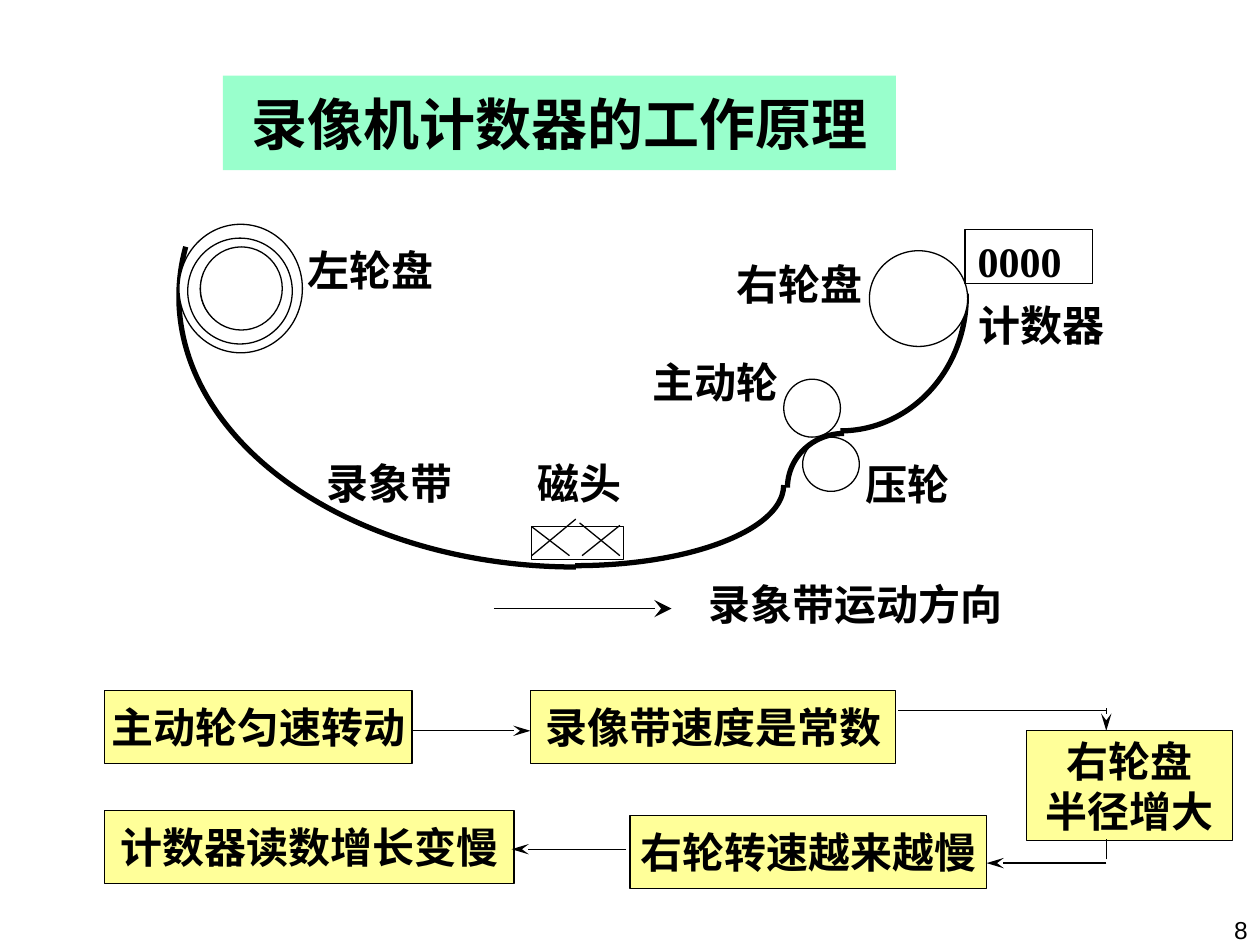
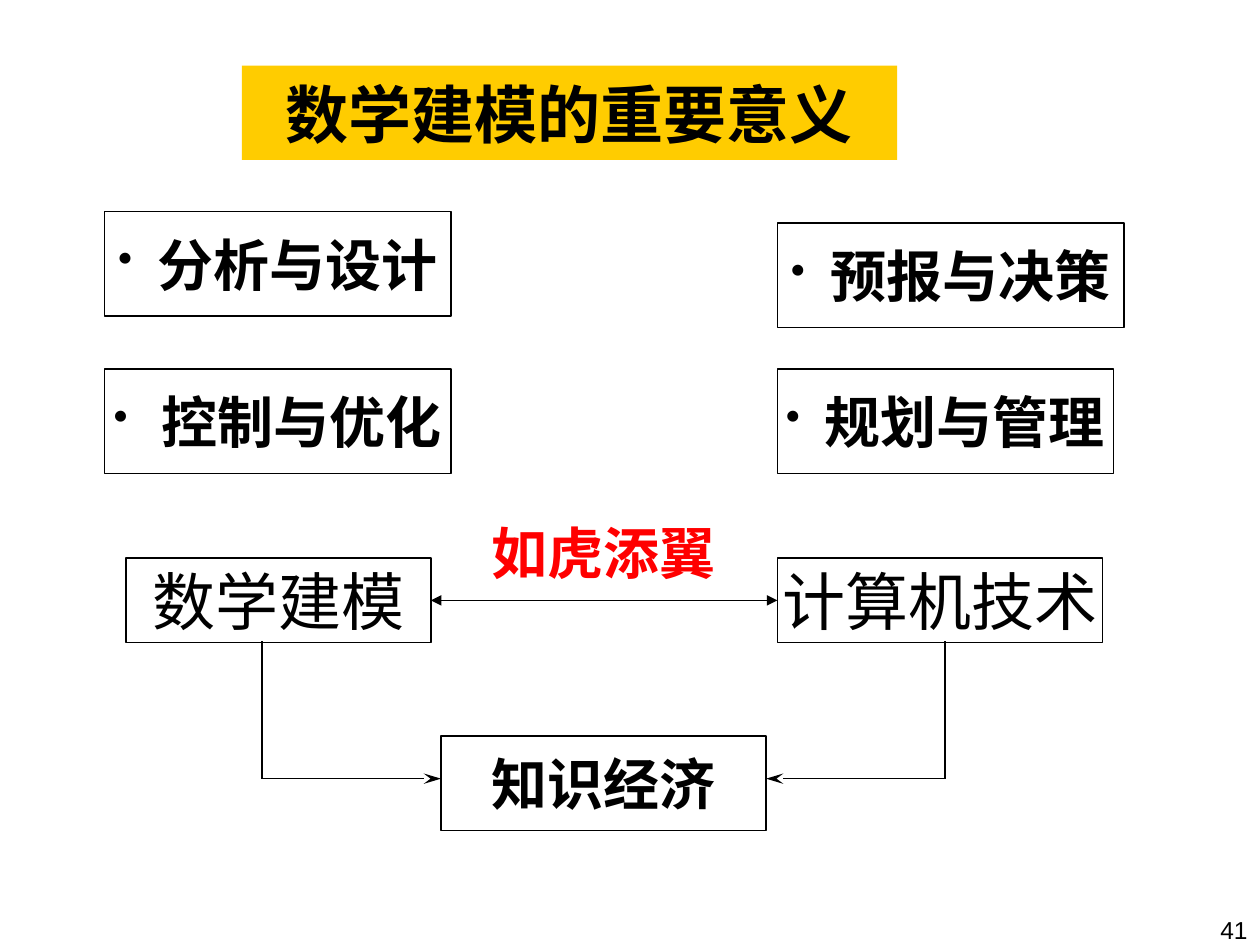
from lxml.etree import SubElement
from pptx import Presentation
from pptx.dml.color import RGBColor
from pptx.enum.shapes import MSO_CONNECTOR as CONNECTOR, MSO_SHAPE as SHAPE
from pptx.enum.text import MSO_ANCHOR as ANCHOR, PP_ALIGN as ALIGN
from pptx.oxml.ns import qn
from pptx.util import Emu, Pt

PX = 9144  # EMU per px, 100 px to the inch
WIDTH, HEIGHT = 1000, 750
BLACK, WHITE, RED = "000000", "FFFFFF", "FF0000"
MINT, GOLD, PALE_YELLOW = "99FFCC", "FFCC00", "FFFF99"
SERIF, CJK, SANS = "Times New Roman", "Noto Sans CJK SC", "Arial"
THIN, THICK = 0.75, 3
ARC_UNIT = 0.6  # adjustment value of one degree

# Arrowheads: type, width, length
TRIANGLE = ("triangle", "med", "med")
STEALTH = ("stealth", "med", "lg")
WIDE_STEALTH = ("stealth", "lg", "lg")

# Slide 1: places are left, top, width, height; lines are x1, y1, x2, y2
COUNTER_TITLE = ("录像机计数器的工作原理", (177, 60, 534, 75))
ROLLERS = [(637, 347, 45, 43), (622, 301, 45, 46)]
REELS = [(142, 178, 98, 102), (149, 189, 83, 84), (159, 199, 60, 61),
         (159, 196, 65, 66), (690, 199, 78, 76)]
TAPE = [  # whole ellipse, start and end angle of the arc
    ((142, 21, 630, 429), 90, 187.3),
    ((291, 321, 331, 128), 0, 90),
    ((567, 128, 200, 214), 358.9, 90),
    ((625, 344, 90, 86), 180, 270),
]
COUNTER = ("0000", (766, 182, 101, 43))
HEAD = (422, 418, 73, 26)
HEAD_LINES = [(422, 441, 457, 412), (462, 441, 492, 417),
              (422, 418, 452, 441), (460, 415, 492, 441)]
LABELS = [
    ("主动轮", (508, 278, 139, 51)),
    ("压轮", (677, 359, 90, 45)),
    ("左轮盘", (234, 189, 124, 66)),
    ("右轮盘", (575, 200, 126, 46)),
    ("磁头", (417, 358, 100, 42)),
    ("计数器", (767, 233, 135, 50)),
    ("录象带", (249, 358, 126, 44)),
]
DIRECTION = ("录象带运动方向", (558, 450, 242, 58))
DIRECTION_ARROW = (392, 483, 533, 483)
STEPS = [
    ("主动轮匀速转动", (83, 548, 244, 58)),
    ("录像带速度是常数", (421, 548, 290, 58)),
    ("右轮盘\n半径增大", (815, 580, 163, 87)),
    ("右轮转速越来越慢", (500, 647, 283, 58)),
    ("计数器读数增长变慢", (83, 643, 325, 58)),
]
STEP_LINES = [(713, 564, 878, 564), (878, 682, 878, 666)]
STEP_ARROWS = [(327, 580, 421, 580), (878, 562, 878, 580),
               (878, 685, 783, 685), (497, 674, 406, 674)]

# Slide 2
MEANING_TITLE = ("数学建模的重要意义", (192, 52, 520, 75))
USES = [  # text, place, gap from bullet to text
    ("分析与设计", (83, 168, 275, 83), 31),
    ("预报与决策", (617, 177, 275, 83), 31),
    ("控制与优化", (83, 293, 275, 83), 38),
    ("规划与管理", (617, 293, 267, 83), 31),
]
MODELLING = ("数学建模", (100, 443, 242, 67))
COMPUTING = ("计算机技术", (617, 443, 258, 67))
ECONOMY = ("知识经济", (350, 584, 258, 75))
MOTTO = ("如虎添翼", (383, 409, 192, 58))
ELBOWS = [(208, 350), (750, 608)]  # x of the drop, x of the arrow tip
DROP_TOP, DROP_BOTTOM = 509, 618

PAGE_NUMBER = (941, 721, 59, 28)


def color(hex_string):
    return RGBColor.from_string(hex_string)


def emu(lengths):
    return [Emu(length * PX) for length in lengths]


def write(shape, text, size=24, ink=BLACK, bold=True, font=SERIF,
          align=ALIGN.CENTER, anchor=ANCHOR.MIDDLE, wrap=False):
    frame = shape.text_frame
    frame.text = text
    frame.word_wrap = wrap
    frame.vertical_anchor = anchor
    for paragraph in frame.paragraphs:
        paragraph.alignment = align
        for run in paragraph.runs:
            run.font.size = Pt(size)
            run.font.bold = bold
            run.font.name = font
            run.font.color.rgb = color(ink)
            SubElement(run.font._element, qn("a:ea"), typeface=CJK)


def add_text(slide, text, place, **style):
    write(slide.shapes.add_textbox(*emu(place)), text, **style)


def add_box(slide, place, fill=None, line=BLACK, kind=SHAPE.RECTANGLE,
            weight=THIN, text=None, **style):
    shape = slide.shapes.add_shape(kind, *emu(place))
    shape.shadow.inherit = False
    if fill:
        shape.fill.solid()
        shape.fill.fore_color.rgb = color(fill)
    else:
        shape.fill.background()
    if line:
        shape.line.color.rgb = color(line)
        shape.line.width = Pt(weight)
    else:
        shape.line.fill.background()
    if text:
        write(shape, text, **style)
    return shape


def add_line(slide, ends, head=None, tail=None):
    line = slide.shapes.add_connector(CONNECTOR.STRAIGHT, *emu(ends))
    line.line.color.rgb = color(BLACK)
    line.line.width = Pt(THIN)
    properties = line._element.spPr
    for tag, arrow in (("a:headEnd", head), ("a:tailEnd", tail)):
        if arrow:
            kind, width, length = arrow
            SubElement(properties.find(qn("a:ln")), qn(tag),
                       type=kind, w=width, len=length)
    SubElement(properties, qn("a:effectLst"))
    return line


def add_bullet(shape, gap):
    for paragraph in shape.text_frame.paragraphs:
        properties = paragraph._p.get_or_add_pPr()
        properties.set("marL", str(gap * PX))
        properties.set("indent", str(-gap * PX))
        bullet_color = SubElement(properties, qn("a:buClr"))
        SubElement(bullet_color, qn("a:srgbClr"), val=BLACK)
        SubElement(properties, qn("a:buSzPct"), val="75000")
        SubElement(properties, qn("a:buChar"), char="•")


def start_slide(presentation, title, band, number, **style):
    slide = presentation.slides.add_slide(presentation.slide_layouts[6])
    text, place = title
    add_box(slide, place, band, None, text=text, **style)
    add_text(slide, number, PAGE_NUMBER, size=14, bold=False, font=SANS,
             align=ALIGN.RIGHT, anchor=ANCHOR.TOP, wrap=True)
    return slide


def build_counter_slide(presentation):
    slide = start_slide(presentation, COUNTER_TITLE, MINT, "8", size=32)
    label_style = dict(align=ALIGN.LEFT, anchor=ANCHOR.TOP, wrap=True)

    # Tape path over the rollers, under the reels
    for place in ROLLERS:
        add_box(slide, place, WHITE, kind=SHAPE.OVAL)
    for place, start, end in TAPE:
        arc = add_box(slide, place, kind=SHAPE.ARC, weight=THICK)
        arc.adjustments[0] = start * ARC_UNIT * 100000 / 100000
        arc.adjustments[1] = end * ARC_UNIT
    for place in REELS:
        add_box(slide, place, WHITE, kind=SHAPE.OVAL)

    # Counter window and magnetic head
    text, place = COUNTER
    add_box(slide, place, WHITE, text=text, **label_style)
    add_box(slide, HEAD, WHITE)
    for ends in HEAD_LINES:
        add_line(slide, ends)

    # Labels and direction of travel
    for text, place in LABELS:
        add_text(slide, text, place, **label_style)
    text, place = DIRECTION
    add_box(slide, place, line=None, text=text)
    add_line(slide, DIRECTION_ARROW, tail=WIDE_STEALTH)

    # Chain of reasoning
    for text, place in STEPS:
        add_box(slide, place, PALE_YELLOW, text=text)
    for ends in STEP_LINES:
        add_line(slide, ends)
    for ends in STEP_ARROWS:
        add_line(slide, ends, tail=STEALTH)


def build_meaning_slide(presentation):
    slide = start_slide(presentation, MEANING_TITLE, GOLD, "41", size=36, font=CJK)

    # Uses of modelling
    for text, place, gap in USES:
        add_bullet(add_box(slide, place, text=text, size=32), gap)

    # Modelling and computing strengthen each other
    modelling, computing = [
        add_box(slide, place, text=text, size=36, bold=False)
        for text, place in (MODELLING, COMPUTING)]
    link = add_line(slide, (342, 476, 617, 476), head=TRIANGLE, tail=TRIANGLE)
    link.begin_connect(modelling, 3)
    link.end_connect(computing, 1)
    text, place = MOTTO
    add_box(slide, place, line=None, text=text, size=32, ink=RED)

    # Both lead to the knowledge economy
    text, place = ECONOMY
    add_box(slide, place, text=text, size=32)
    for drop_x, tip_x in ELBOWS:
        add_line(slide, (drop_x, DROP_TOP, drop_x, DROP_BOTTOM))
        add_line(slide, (drop_x, DROP_BOTTOM, tip_x, DROP_BOTTOM), tail=STEALTH)


def main():
    presentation = Presentation()
    presentation.slide_width, presentation.slide_height = emu((WIDTH, HEIGHT))
    build_counter_slide(presentation)
    build_meaning_slide(presentation)
    presentation.save("out.pptx")


if __name__ == "__main__":
    main()
